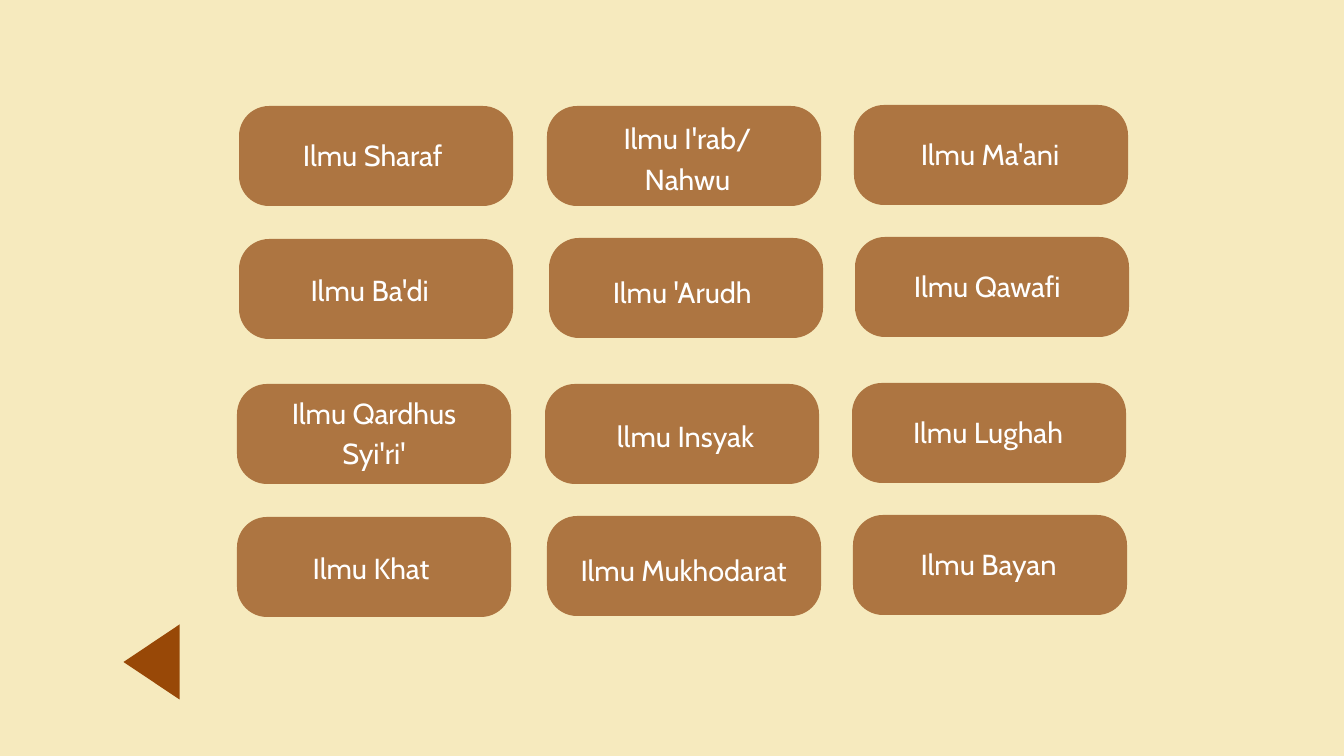
"""Build a menu slide of twelve Arabic-language sciences with a back arrow."""
import pptx
import pptx.dml.color
import pptx.enum.shapes
import pptx.enum.text
import pptx.util

PX = 914400 / 67.2
SLIDE_SIZE = (1344, 756)
CREAM, BROWN, RUST, WHITE = "F6EABE", "AD7541", "984807", "FFFFFF"

BLOCKS = [
    ["Ilmu Sharaf ", "Ilmu I'rab/ Nahwu", "Ilmu Ma'ani",
     "Ilmu Ba'di ", "Ilmu 'Arudh ", "Ilmu Qawafi "],
    ["Ilmu Qardhus Syi'ri'", "llmu Insyak", "Ilmu Lughah",
     "Ilmu Khat", "Ilmu Mukhodarat", "Ilmu Bayan"],
]
BLOCK_SHIFT = (-2, 278)
CARD_SIZE = (274, 100)
CARD_CORNERS = [(239, 106), (547, 106), (854, 105),
                (239, 239), (549, 238), (855, 237)]
LABEL_BOXES = [(263, 133, 226, 38), (578, 116, 219, 79), (894, 126, 192, 51),
               (239, 250, 268, 75), (572, 271, 227, 36), (898, 259, 185, 48)]
ARROW_BOX = (114, 634, 75, 56)


def px(*lengths):
    return [pptx.util.Emu(round(length * PX)) for length in lengths]


def paint(fill, color):
    fill.solid()
    fill.fore_color.rgb = pptx.dml.color.RGBColor.from_string(color)


def add_shape(shapes, kind, box, color):
    shape = shapes.add_shape(kind, *px(*box))
    shape.shadow.inherit = False
    paint(shape.fill, color)
    shape.line.fill.background()
    return shape


def add_label(shapes, text, box):
    frame = shapes.add_textbox(*px(*box)).text_frame
    frame.word_wrap = True
    frame.vertical_anchor = pptx.enum.text.MSO_ANCHOR.MIDDLE
    frame.margin_left, frame.margin_top, frame.margin_right, frame.margin_bottom = px(4, 4, 4, 4)
    paragraph = frame.paragraphs[0]
    paragraph.alignment = pptx.enum.text.PP_ALIGN.CENTER
    paragraph.line_spacing = pptx.util.Pt(43.4)
    run = paragraph.add_run()
    run.text = text
    run.font.name = "Cabin"
    run.font.size = pptx.util.Pt(31)
    paint(run.font.fill, WHITE)


def main():
    presentation = pptx.Presentation()
    presentation.slide_width, presentation.slide_height = px(*SLIDE_SIZE)
    slide = presentation.slides.add_slide(presentation.slide_layouts[6])
    paint(slide.background.fill, CREAM)
    kinds = pptx.enum.shapes.MSO_SHAPE

    for index, names in enumerate(BLOCKS):
        dx, dy = (index * shift for shift in BLOCK_SHIFT)
        for name, (x, y), (left, top, width, height) in zip(names, CARD_CORNERS, LABEL_BOXES):
            group = slide.shapes.add_group_shape()
            card = add_shape(group.shapes, kinds.ROUNDED_RECTANGLE, (x + dx, y + dy, *CARD_SIZE), BROWN)
            card.adjustments[0] = 0.3
            add_label(group.shapes, name, (left + dx, top + dy, width, height))

    arrow = add_shape(slide.shapes, kinds.ISOSCELES_TRIANGLE, ARROW_BOX, RUST)
    arrow.rotation = 270
    presentation.save("out.pptx")


if __name__ == "__main__":
    main()
